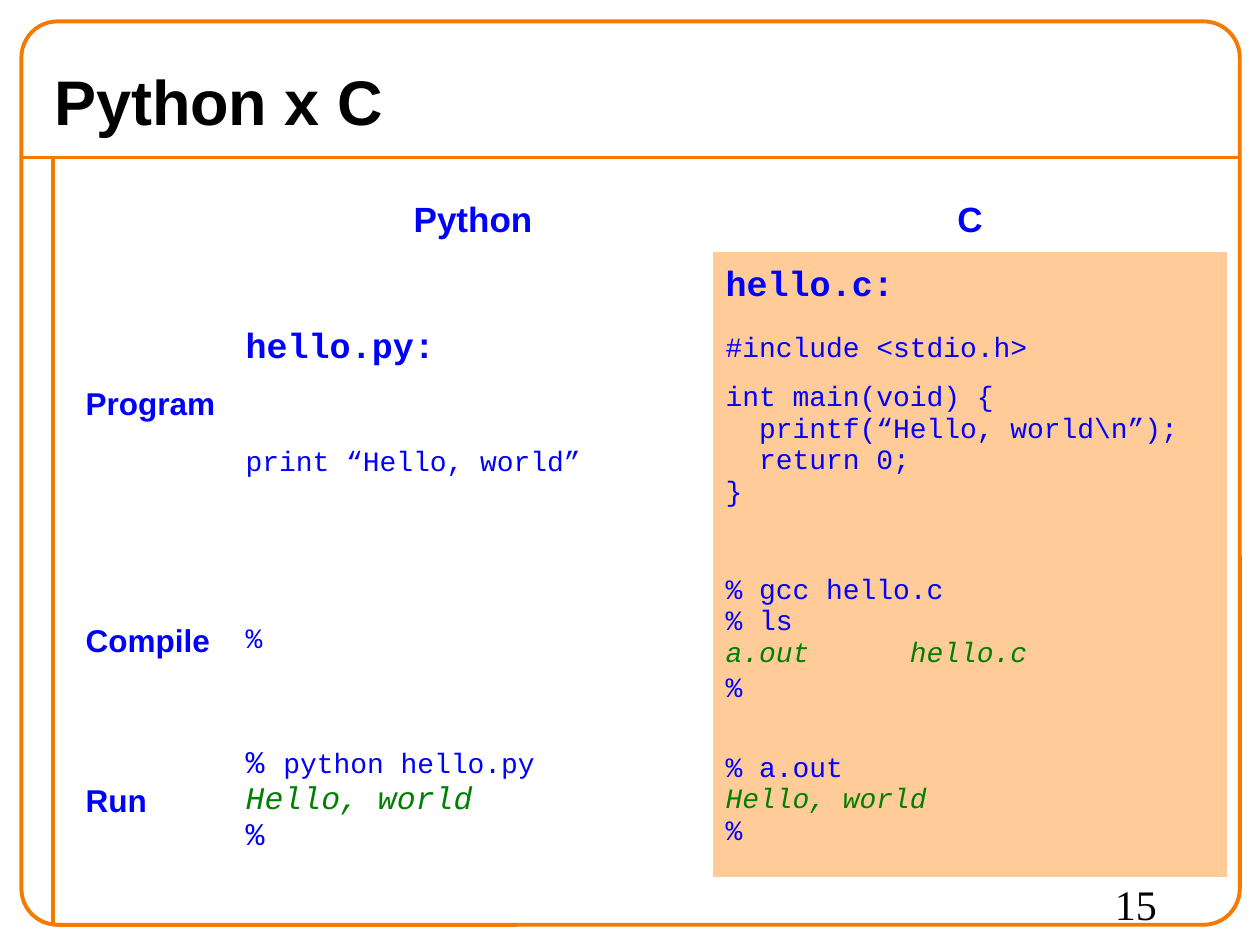
"""Build a slide that compares a hello-world program in Python and in C."""
from dataclasses import dataclass

from lxml import etree
from pptx import Presentation
from pptx.dml.color import RGBColor
from pptx.enum.shapes import MSO_CONNECTOR, MSO_SHAPE
from pptx.enum.text import MSO_ANCHOR, PP_ALIGN
from pptx.oxml.ns import qn
from pptx.util import Inches, Pt

STRAIGHT = MSO_CONNECTOR.STRAIGHT
ROUNDED = MSO_SHAPE.ROUNDED_RECTANGLE
MIDDLE = MSO_ANCHOR.MIDDLE
LEFT, CENTER = PP_ALIGN.LEFT, PP_ALIGN.CENTER
ORANGE, PEACH = "F47A00", "FFCC99"
BLUE, GREEN, BLACK = "0000FF", "008000", "000000"
SANS, MONO, SERIF = "Arial", "Courier New", "Times New Roman"
PLAIN_TABLE = "{2D5ABB26-0587-4C30-8999-92F81FD0307C}"


@dataclass(frozen=True)
class Span:
    text: str
    size: float = 16
    font: str = MONO
    color: str = BLUE
    bold: bool = False
    italic: bool = False


@dataclass(frozen=True)
class Para:
    spans: tuple[Span, ...]
    before: float = 0
    align: PP_ALIGN = LEFT
    spacing: float = 1.0


@dataclass(frozen=True)
class Entry:
    paras: tuple[Para, ...]
    bottom: float = 0.05


def rgb(color: str) -> RGBColor:
    return RGBColor.from_string(color)


def add_span(paragraph, span: Span) -> None:
    for index, line in enumerate(span.text.split("\n")):
        if index:
            paragraph.add_line_break()
        if line:
            run = paragraph.add_run()
            run.text = line
            run.font.name = span.font
            run.font.size = Pt(span.size)
            run.font.bold = span.bold
            run.font.italic = span.italic
            run.font.color.rgb = rgb(span.color)


def write(frame, paras: tuple[Para, ...]) -> None:
    for index, para in enumerate(paras):
        paragraph = frame.add_paragraph() if index else frame.paragraphs[0]
        paragraph.alignment = para.align
        paragraph.space_before = Pt(para.before)
        paragraph.line_spacing = para.spacing
        for span in para.spans:
            add_span(paragraph, span)


def heading(text: str) -> Entry:
    return Entry((Para((Span(text, 20, SANS, bold=True),), 12.5, CENTER),))


def stage(text: str) -> Entry:
    return Entry((Para((Span(text, 18, SANS, bold=True),), 11.2),))


def file_name(text: str) -> Para:
    return Para((Span(text, 20, bold=True),), 12.5)


def output(text: str, size: float = 16) -> Span:
    return Span(text, size, color=GREEN, italic=True)


def add_rule(slide, x1: float, y1: float, x2: float, y2: float) -> None:
    rule = slide.shapes.add_connector(
        STRAIGHT, Inches(x1), Inches(y1), Inches(x2), Inches(y2))
    rule.line.color.rgb = rgb(ORANGE)
    rule.line.width = Pt(2.25)
    etree.SubElement(rule._element.spPr, qn("a:effectLst"))


def add_border(slide) -> None:
    border = slide.shapes.add_shape(
        ROUNDED, Inches(0.17), Inches(0.17), Inches(9.67), Inches(7.17))
    border.adjustments[0] = 0.04
    border.shadow.inherit = False
    border.fill.background()
    border.line.color.rgb = rgb(ORANGE)
    border.line.width = Pt(2.25)


def add_title(slide, text: str) -> None:
    title = slide.shapes.title
    title.left, title.top = Inches(0.33), Inches(0.42)
    title.width, title.height = Inches(9.33), Inches(0.75)
    title.text_frame.vertical_anchor = MIDDLE
    write(title.text_frame, (Para((Span(text, 36, SANS, BLACK, True),)),))


def add_comparison(slide, entries: list[list[Entry]]) -> None:
    widths, heights = (1.27, 3.81, 4.08), (0.5, 2.42, 1.34, 1.2)
    table = slide.shapes.add_table(
        len(heights), len(widths), Inches(0.58), Inches(1.5),
        Inches(sum(widths)), Inches(sum(heights))).table
    table.first_row = table.horz_banding = False
    table._tbl.tblPr.find(qn("a:tableStyleId")).text = PLAIN_TABLE
    for column, width in zip(table.columns, widths):
        column.width = Inches(width)
    for row, height in zip(table.rows, heights):
        row.height = Inches(height)
    for r, row_entries in enumerate(entries):
        for c, entry in enumerate(row_entries):
            cell = table.cell(r, c)
            cell.vertical_anchor = MIDDLE
            cell.margin_bottom = Inches(entry.bottom)
            if r and c == 2:
                cell.fill.solid()
                cell.fill.fore_color.rgb = rgb(PEACH)
            else:
                cell.fill.background()
            write(cell.text_frame, entry.paras)


def add_page_number(slide, number: str) -> None:
    page = slide.shapes.add_textbox(
        Inches(8.75), Inches(6.92), Inches(1), Inches(0.5))
    page.text_frame.word_wrap = True
    write(page.text_frame, (Para((Span(number, 24, SERIF, BLACK),)),))


def main() -> None:
    deck = Presentation()
    deck.slide_width, deck.slide_height = Inches(10), Inches(7.5)
    slide = deck.slides.add_slide(deck.slide_layouts[5])
    python_program = Entry((
        file_name("hello.py:"),
        Para((Span("print “Hello, world”"),), 45),
    ))
    c_program = Entry((
        file_name("hello.c:"),
        Para((Span("#include <stdio.h>"),), 10, spacing=1.3),
        Para((Span("int main(void) {\n  printf(“Hello, world\\n”);\n"
                   "  return 0;\n}"),), 10),
    ), bottom=0.3)
    c_compile = Entry((Para((
        Span("% gcc hello.c\n% ls\n"),
        output("a.out      hello.c\n"),
        Span("%"), Span(" ", 18)), 11.2),))
    python_run = Entry((Para((
        Span("% ", 18), Span("python hello.py\n"),
        output("Hello, world\n", 18), Span("%", 18)), 11.2),))
    c_run = Entry((Para((
        Span("% a.out\n"), output("Hello, world\n"), Span("%")), 10),))

    add_rule(slide, 0.17, 1.25, 9.83, 1.25)
    add_rule(slide, 0.42, 1.25, 0.42, 7.33)
    add_border(slide)
    add_title(slide, "Python x C")
    add_comparison(slide, [
        [Entry(()), heading("Python"), heading("C")],
        [stage("Program"), python_program, c_program],
        [stage("Compile"), Entry((Para((Span("%"),), 10),)), c_compile],
        [stage("Run"), python_run, c_run],
    ])
    add_page_number(slide, "15")
    deck.save("out.pptx")


if __name__ == "__main__":
    main()
